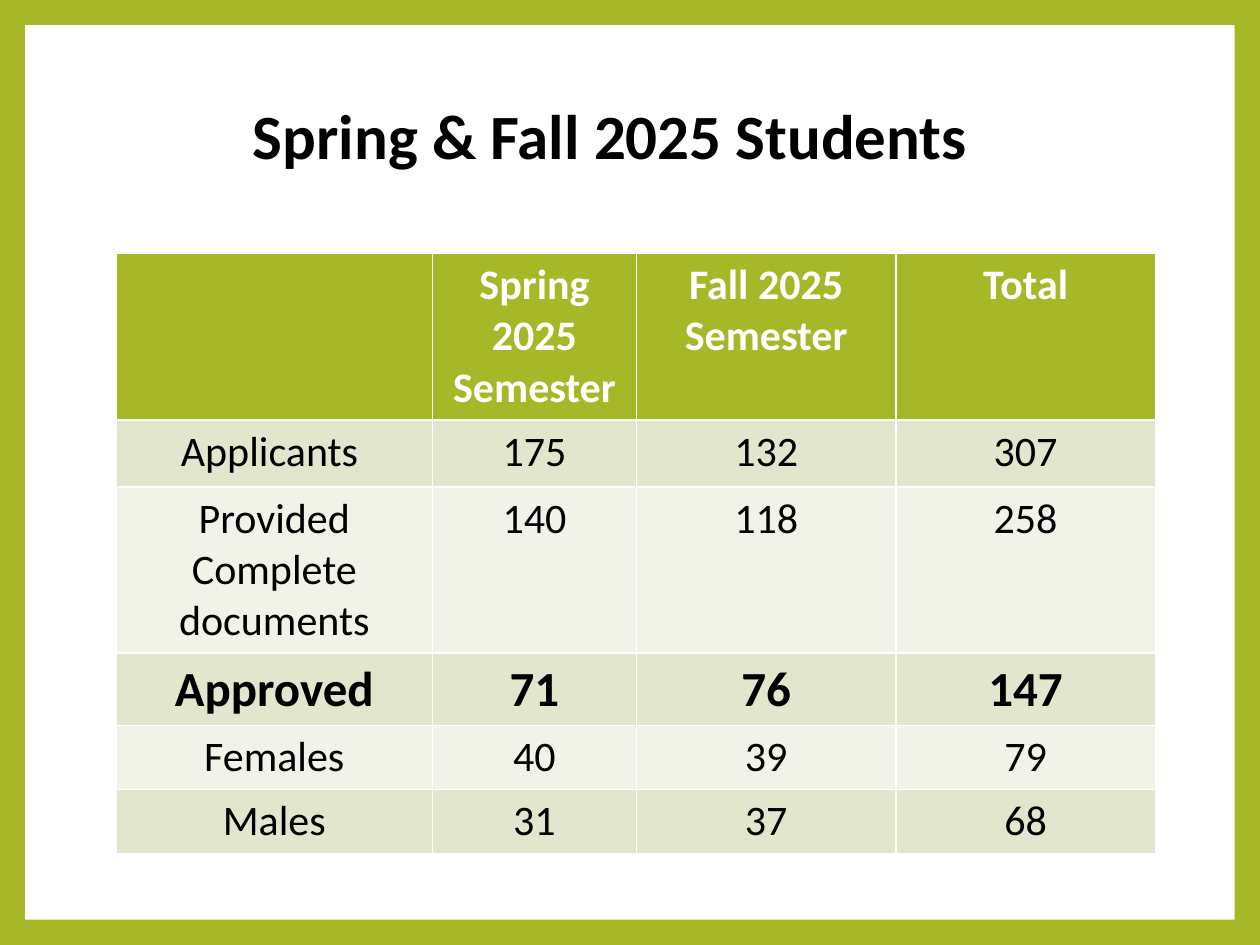
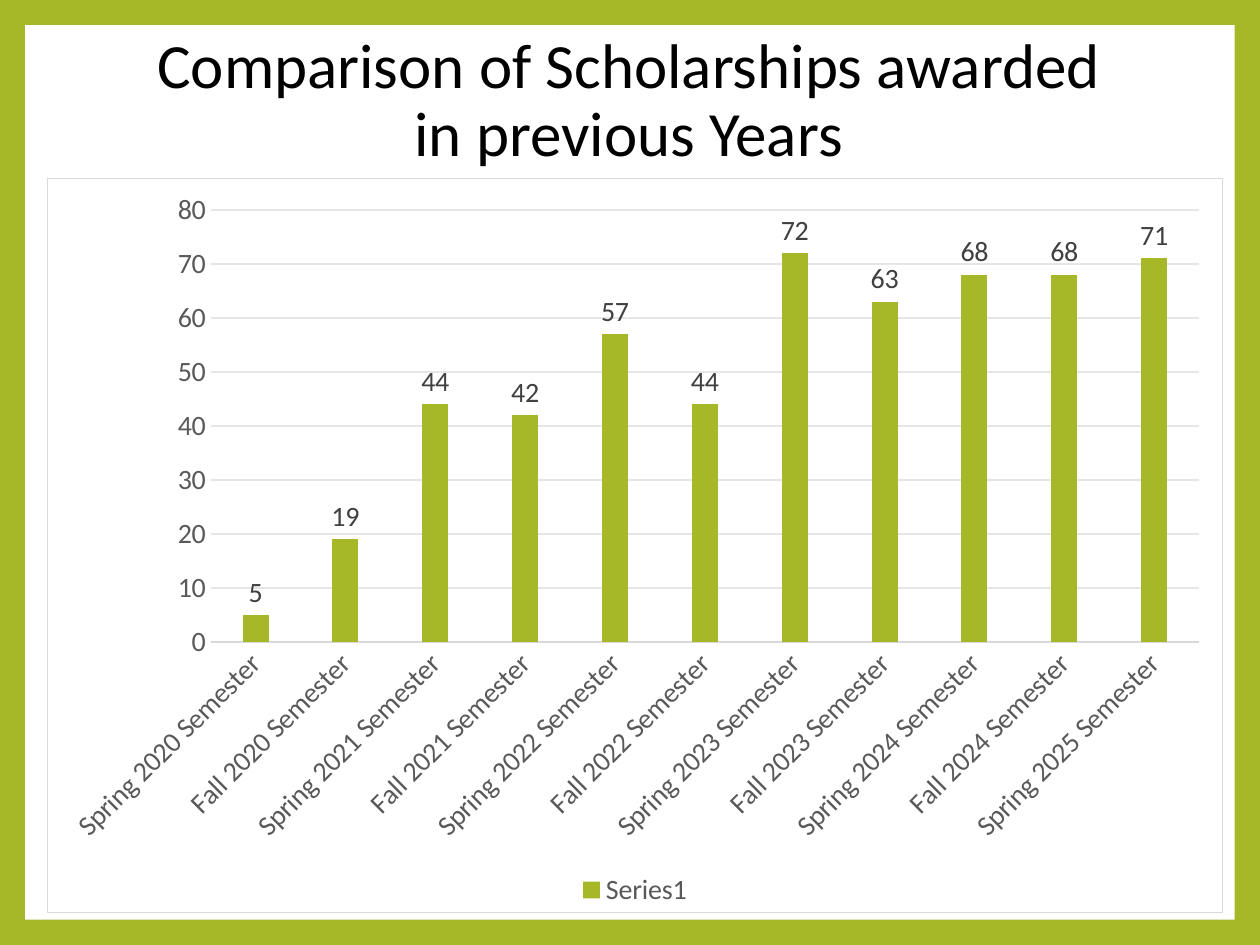
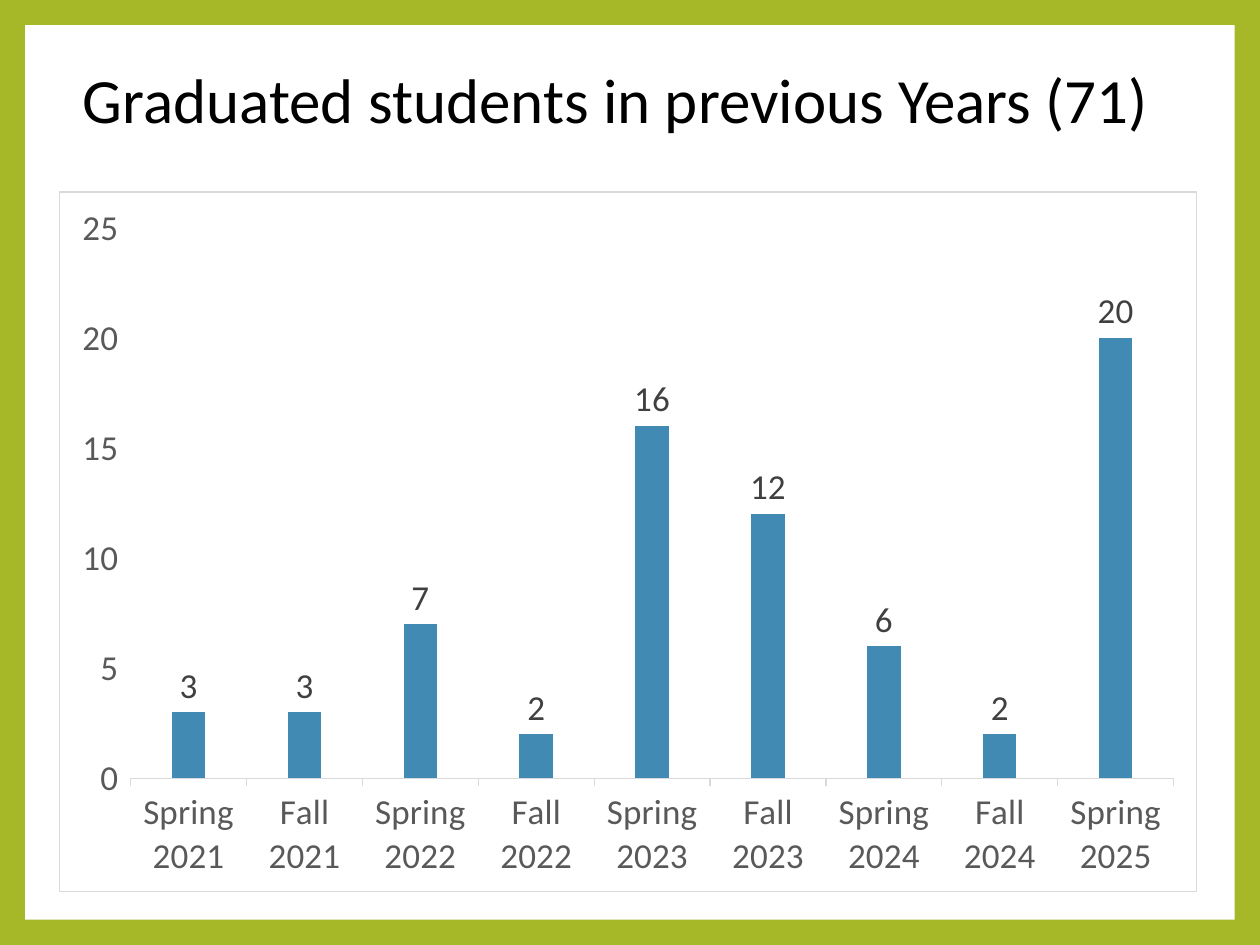
from itertools import product

from pptx import Presentation
from pptx.chart.data import CategoryChartData
from pptx.dml.color import RGBColor
from pptx.enum.chart import XL_CHART_TYPE as Kind
from pptx.enum.chart import XL_LABEL_POSITION as Spot
from pptx.enum.chart import XL_LEGEND_POSITION as Side
from pptx.enum.chart import XL_TICK_MARK as Tick
from pptx.enum.shapes import MSO_SHAPE as Form
from pptx.enum.text import MSO_ANCHOR as Anchor
from pptx.enum.text import MSO_AUTO_SIZE as Fit
from pptx.enum.text import PP_ALIGN as Align
from pptx.oxml import parse_xml
from pptx.oxml.ns import nsdecls, qn
from pptx.util import Cm, Pt

FONT = "Calibri"
LIME, BLUE, WHITE, BLACK = "A6B727", "418AB3", "FFFFFF", "000000"
BANDS = "E1E6CD", "F1F3E8"
GREY, DARK, RULE, GRID = "595959", "404040", "D9D9D9", "E6E6E6"
WIDE, HIGH, EDGE = 25.4, 19.05, 0.51

ROWS = [
    ["", "Spring 2025 Semester", "Fall 2025 Semester", "Total"],
    ["Applicants ", "175", "132", "307"],
    ["Provided Complete documents", "140", "118", "258"],
    ["Approved", "71", "76", "147"],
    ["Females", "40", "39", "79"],
    ["Males", "31", "37", "68"],
]
COLS = [6.38, 4.11, 5.23, 5.23]
TALL = [2.49, 1.35, 1.17, 1.17, 1.17, 1.17]
AWARDS = [5, 19, 44, 42, 57, 44, 72, 63, 68, 68, 71]
GRADS = [3, 3, 7, 2, 16, 12, 6, 2, 20]


def paint(hue):
    return RGBColor.from_string(hue)


def fill(part, hue):
    part.fill.solid()
    part.fill.fore_color.rgb = paint(hue)


def style(font, size, hue, bold=False):
    font.name, font.size, font.bold = FONT, Pt(size), bold
    font.color.rgb = paint(hue)


def rule(line, hue):
    line.color.rgb = paint(hue)
    line.width = Pt(0.75)


def terms(start, count, tail=""):
    """Name the semesters in order, two a year, from the start year."""
    pairs = product(range(start, start + count), ("Spring", "Fall"))
    return [f"{term} {year}{tail}" for year, term in pairs][:count]


def add_frame(layout, slide):
    """Give the layout its lime edge and white panel."""
    fill(layout.background, LIME)
    panel = slide.shapes.add_shape(
        Form.RECTANGLE, Cm(EDGE), Cm(EDGE),
        Cm(WIDE - 2 * EDGE), Cm(HIGH - 2 * EDGE))
    panel.shadow.inherit = False
    fill(panel, WHITE)
    panel.line.fill.background()
    layout.shapes.element.insert(2, panel.element)


def add_title(slide, text, box, bold=False):
    title = slide.shapes.title
    title.left, title.top, title.width, title.height = map(Cm, box)
    frame = title.text_frame
    frame.text = text
    frame.word_wrap, frame.auto_size = True, Fit.NONE
    frame.vertical_anchor = Anchor.MIDDLE
    para = frame.paragraphs[0]
    para.alignment, para.line_spacing = Align.CENTER, 0.9
    style(para.runs[0].font, 36, BLACK, bold)


def add_counts(slide, box):
    table = slide.shapes.add_table(
        len(ROWS), len(COLS), *map(Cm, box)).table
    for col, width in zip(table.columns, COLS):
        col.width = Cm(width)
    for i, (row, height) in enumerate(zip(ROWS, TALL)):
        table.rows[i].height = Cm(height)
        head, key = i == 0, row[0] == "Approved"
        for j, text in enumerate(row):
            cell = table.cell(i, j)
            fill(cell, LIME if head else BANDS[(i - 1) % 2])
            para = cell.text_frame.paragraphs[0]
            para.text = text
            para.alignment = Align.CENTER
            for run in para.runs:
                style(run.font, 28 if key else 24,
                      WHITE if head else BLACK, head or key)


def add_bars(slide, box, names, name, values, hue, size, top, step):
    data = CategoryChartData()
    data.categories = names
    data.add_series(name, values)
    chart = slide.shapes.add_chart(
        Kind.COLUMN_CLUSTERED, *map(Cm, box), data).chart
    style(chart.font, size, BLACK)
    chart.has_title = chart.has_legend = False
    chart.element.find(qn("c:chart")).addnext(parse_xml(
        f'<c:spPr {nsdecls("c", "a")}>'
        f'<a:solidFill><a:srgbClr val="{WHITE}"/></a:solidFill>'
        f'<a:ln w="9525"><a:solidFill><a:srgbClr val="{RULE}"/>'
        '</a:solidFill></a:ln></c:spPr>'))

    plot = chart.plots[0]
    plot.gap_width, plot.overlap = 246, -28
    plot.vary_by_categories = False
    fill(plot.series[0].format, hue)
    plot.has_data_labels = True
    labels = plot.data_labels
    labels.show_value, labels.position = True, Spot.OUTSIDE_END
    style(labels.font, size, DARK)

    base, scale = chart.category_axis, chart.value_axis
    for axis in (base, scale):
        style(axis.tick_labels.font, size, GREY)
    rule(base.format.line, RULE)
    scale.format.line.fill.background()
    scale.minimum_scale, scale.maximum_scale = 0, top
    scale.major_unit = step
    scale.has_major_gridlines = False
    return chart


def count_slide(slide):
    add_title(slide, "Spring & Fall 2025 Students ",
              (2.16, 2.01, 20.57, 1.57), bold=True)
    add_counts(slide, (2.34, 5.11, sum(COLS), sum(TALL)))


def award_slide(slide):
    add_title(slide, "Comparison of Scholarships awarded in previous Years",
              (2.39, 1.22, 20.57, 1.68))
    chart = add_bars(slide, (0.94, 3.58, 23.72, 14.83),
                     terms(2020, len(AWARDS), " Semester"),
                     "Series1", AWARDS, LIME, 16, 80, 10)
    scale = chart.value_axis
    scale.has_major_gridlines = True
    rule(scale.major_gridlines.format.line, GRID)
    for axis in (chart.category_axis, scale):
        axis.major_tick_mark = Tick.NONE
    slant = chart.element.xpath("//c:catAx/c:txPr/a:bodyPr")[0]
    slant.set("rot", "-2700000")
    chart.has_legend = True
    chart.legend.position = Side.BOTTOM
    chart.legend.include_in_layout = False
    style(chart.legend.font, 16, GREY)


def grad_slide(slide):
    add_title(slide, "Graduated students in previous Years (71)",
              (0.69, 1.14, 23.44, 1.88))
    add_bars(slide, (1.19, 3.86, 22.94, 14.12),
             terms(2021, len(GRADS)), "Series 1", GRADS, BLUE, 20, 25, 5)


def main():
    deck = Presentation()
    deck.slide_width, deck.slide_height = Cm(WIDE), Cm(HIGH)
    layout = deck.slide_layouts[5]
    for build in (count_slide, award_slide, grad_slide):
        build(deck.slides.add_slide(layout))
    add_frame(layout, deck.slides[0])
    deck.save("out.pptx")


if __name__ == "__main__":
    main()
